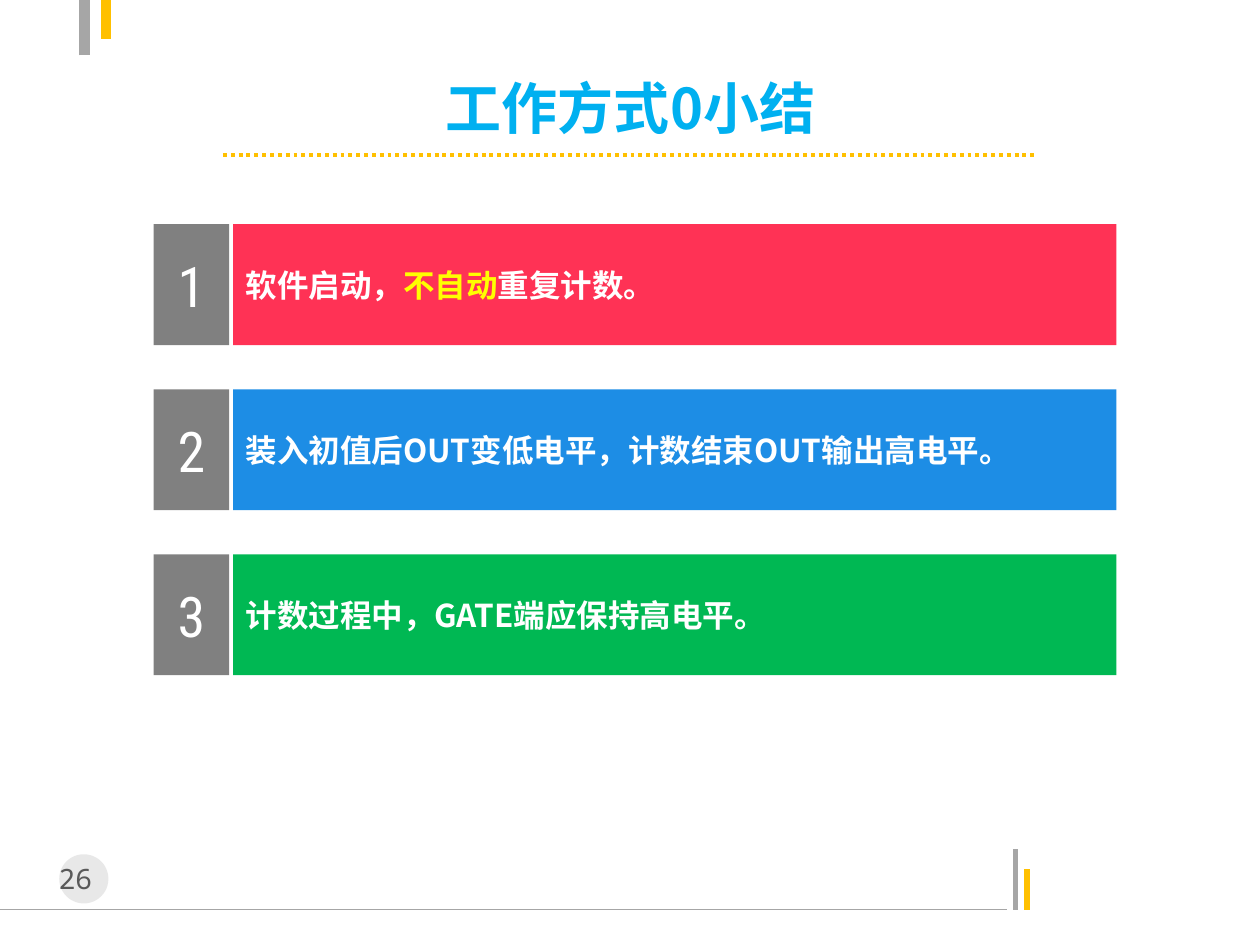
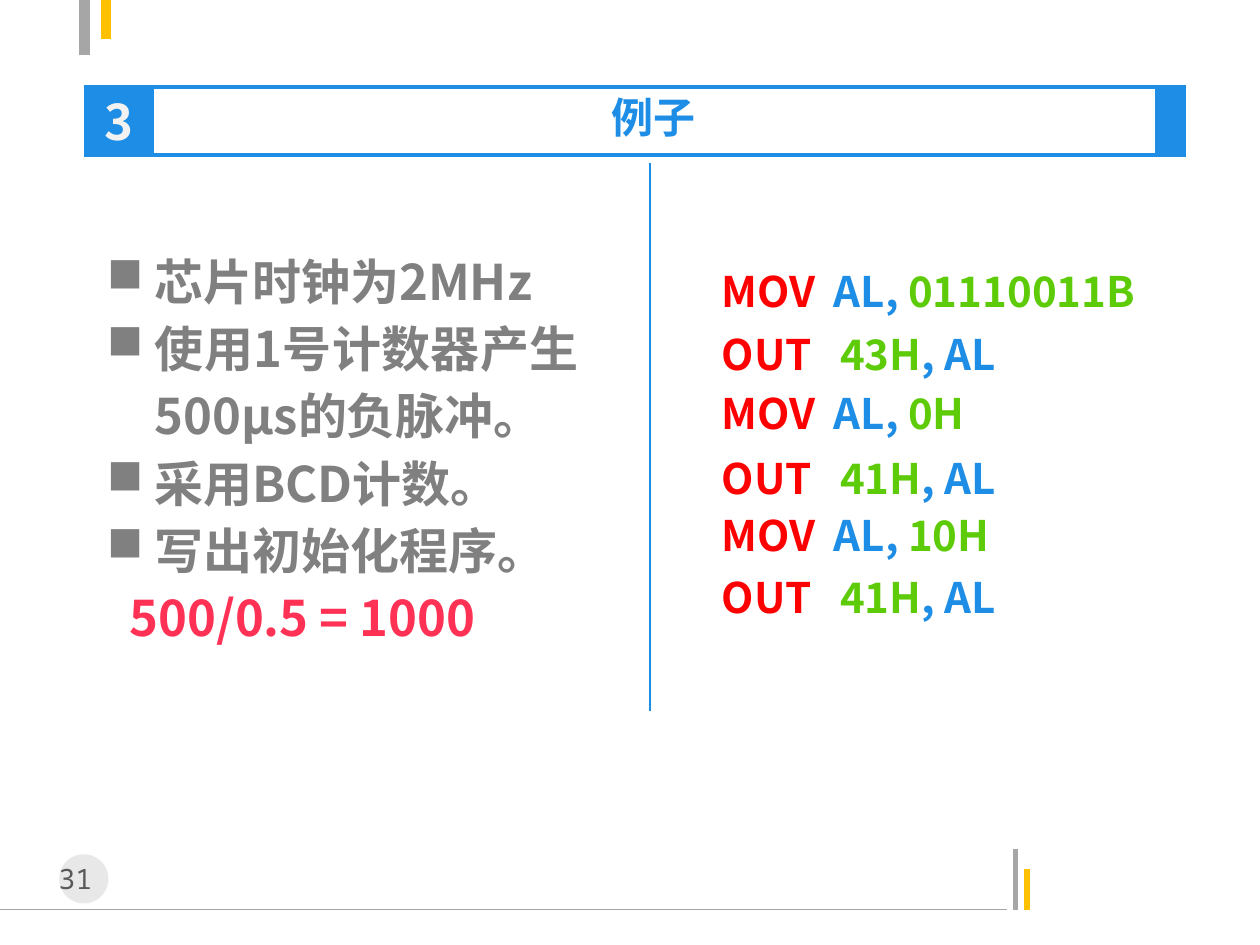
"""Build two timer-chip lesson slides: a mode 0 summary and a worked example."""
from dataclasses import dataclass

from lxml import etree
from pptx import Presentation
from pptx.dml.color import RGBColor
from pptx.enum import dml, shapes, text
from pptx.oxml import ns
from pptx.util import Inches, Pt


@dataclass(frozen=True)
class Theme:
    cjk: str = "Noto Sans CJK SC"
    mono: str = "Noto Sans Mono"
    digits: str = "Roboto Condensed"
    white: str = "FFFFFF"
    pale: str = "F2F2F2"
    rule: str = "A6A6A6"
    disc: str = "BFBFBF"
    gray: str = "808080"
    dark: str = "595959"
    gold: str = "FFC000"
    sky: str = "00B0F0"
    blue: str = "1D8DE5"
    green: str = "00B853"
    lime: str = "5DCB08"
    red: str = "FF0000"
    rose: str = "FF3255"
    yellow: str = "FFFF00"
    title: int = 32
    body: int = 28
    code: int = 24
    item: int = 18
    page: int = 16


T = Theme()
CENTER = text.PP_ALIGN.CENTER
JUSTIFY = text.PP_ALIGN.JUSTIFY
RECT = shapes.MSO_SHAPE.RECTANGLE
OVAL = shapes.MSO_SHAPE.OVAL

SUMMARY_TITLE = "工作方式0小结"
SUMMARY = [
    (T.rose, [("软件启动，", T.white), ("不自动", T.yellow), ("重复计数。", T.white)]),
    (T.blue, [("装入初值后OUT变低电平，计数结束OUT输出高电平。", T.white)]),
    (T.green, [("计数过程中，GATE端应保持高电平。", T.white)]),
]
EXAMPLE_NUMBER, EXAMPLE_TITLE = "3", "例子"
TASKS = [
    "芯片时钟为2MHz",
    "使用1号计数器产生500μs的负脉冲。",
    "采用BCD计数。",
    "写出初始化程序。",
]
RESULT = "500/0.5 = 1000"
CODE = [
    (1.94, "MOV", [("AL, ", T.blue), ("01110011B", T.lime)]),
    (2.44, "OUT", [("43H", T.lime), (", AL", T.blue)]),
    (2.91, "MOV", [("AL, ", T.blue), ("0H", T.lime)]),
    (3.43, "OUT", [("41H", T.lime), (", AL", T.blue)]),
    (3.88, "MOV", [("AL, ", T.blue), ("10H", T.lime)]),
    (4.37, "OUT", [("41H", T.lime), (", AL", T.blue)]),
]
OPERAND_TAB = {"MOV": 0.89, "OUT": 0.94}
FRAME_LINES = [
    ((0, 7.22), (7.99, 7.22), T.rule, 0.75),
    ((8.06, 7.22), (8.06, 6.74), T.rule, 3),
    ((8.15, 7.22), (8.15, 6.9), T.gold, 3),
    ((0.67, 0.44), (0.67, 0), T.rule, 6),
    ((0.84, 0), (0.84, 0.31), T.gold, 6),
]


def rgb(color):
    return RGBColor.from_string(color)


def sub(parent, tag, **attrs):
    return etree.SubElement(parent, ns.qn(tag), attrs)


def write(sp, content, size=T.item, color=T.white, font=T.cjk, bold=True, align=None,
          middle=False, spacing=None, indent=0, bullet=None, tab=None, more=False):
    """Write a string or (text, color) runs as one paragraph of a shape."""
    tf = sp.text_frame
    tf.word_wrap = True
    tf.vertical_anchor = text.MSO_ANCHOR.MIDDLE if middle else text.MSO_ANCHOR.TOP
    p = tf.add_paragraph() if more else tf.paragraphs[0]
    p.alignment = align or text.PP_ALIGN.LEFT
    if spacing:
        p.line_spacing = spacing
    ppr = p._p.get_or_add_pPr()
    if indent:
        ppr.set("marL", str(Inches(indent)))
    if bullet:
        ppr.set("indent", str(-Inches(indent)))
        sub(ppr, "a:buChar", char=bullet)
    if tab:
        sub(sub(ppr, "a:tabLst"), "a:tab", pos=str(Inches(tab)), algn="l")
    runs = [(content, color)] if isinstance(content, str) else content
    for run_text, run_color in runs:
        r = p.add_run()
        r.text = run_text
        r.font.size, r.font.bold, r.font.name = Pt(size), bold, font
        r.font.color.rgb = rgb(run_color)
        sub(r._r.get_or_add_rPr(), "a:ea", typeface=font)


def add_box(s, at, fill, kind=RECT, outline=None, alpha=None):
    sp = s.shapes.add_shape(kind, *map(Inches, at))
    sp.shadow.inherit = False
    sp.fill.solid()
    sp.fill.fore_color.rgb = rgb(fill)
    if alpha:
        clr = sp._element.spPr.find(".//" + ns.qn("a:srgbClr"))
        sub(clr, "a:alpha", val=str(alpha * 1000))
    if outline:
        sp.line.color.rgb = rgb(outline)
        sp.line.width = Pt(0.75)
    else:
        sp.line.fill.background()
    return sp


def add_text(s, at, content, **fmt):
    sp = s.shapes.add_textbox(*map(Inches, at))
    write(sp, content, **fmt)
    return sp


def add_line(s, start, end, color, width, dash=None):
    line = s.shapes.add_connector(shapes.MSO_CONNECTOR.STRAIGHT, *map(Inches, start + end))
    line.line.color.rgb = rgb(color)
    line.line.width = Pt(width)
    if dash:
        line.line.dash_style = dash
    sub(line._element.spPr, "a:effectLst")


def add_slide(prs, page):
    s = prs.slides.add_slide(prs.slide_layouts[6])
    for line in FRAME_LINES:
        add_line(s, *line)
    add_box(s, (0.47, 6.78, 0.39, 0.39), T.disc, kind=OVAL, alpha=35)
    add_text(s, (0.31, 6.79, 0.71, 0.37), f"{page} ", size=T.page, color=T.dark,
             font=T.mono, bold=False, align=CENTER)
    return s


def build_summary(prs):
    s = add_slide(prs, 26)
    add_text(s, (1.38, 0.6, 7.25, 0.5), SUMMARY_TITLE, size=T.title, color=T.sky,
             align=CENTER, middle=True)
    add_line(s, (1.77, 1.23), (8.23, 1.23), T.gold, 2.25, dml.MSO_LINE.ROUND_DOT)
    for i, (fill, runs) in enumerate(SUMMARY):
        top = 1.78 + 1.31 * i
        write(add_box(s, (1.85, top, 7.01, 0.96), fill), runs, middle=True)
        write(add_box(s, (1.22, top, 0.6, 0.96), T.gray), str(i + 1), size=T.title,
              font=T.digits, bold=False, align=CENTER, middle=True)


def build_example(prs):
    s = add_slide(prs, 31)
    number = add_box(s, (0.67, 0.69, 0.55, 0.54), T.blue, outline=T.blue)
    write(number, EXAMPLE_NUMBER, size=T.body, color=T.pale, align=CENTER, middle=True)
    add_text(s, (1.22, 0.68, 7.94, 0.5), EXAMPLE_TITLE, size=T.code, color=T.blue,
             align=CENTER)
    add_box(s, (9.17, 0.69, 0.24, 0.54), T.blue, outline=T.blue)
    for y in (0.69, 1.23):
        add_line(s, (0.67, y), (9.41, y), T.blue, 2.25)
    add_line(s, (5.16, 1.29), (5.16, 5.64), T.blue, 1)

    for top, op, operands in CODE:
        add_text(s, (5.63, top, 3.86, 0.62), [(op + "\t", T.red)] + operands,
                 size=T.code, spacing=1.29, tab=OPERAND_TAB[op])

    fmt = dict(size=T.body, align=JUSTIFY, middle=True, spacing=1.14)
    tasks = s.shapes.add_textbox(*map(Inches, (0.75, 1.87, 3.94, 3.32)))
    for i, task in enumerate(TASKS):
        write(tasks, task, color=T.gray, indent=0.38, bullet="■", more=i > 0, **fmt)
    write(tasks, RESULT, color=T.rose, indent=0.18, more=True, **fmt)


def main():
    prs = Presentation()
    prs.slide_width, prs.slide_height = Inches(10), Inches(7.5)
    build_summary(prs)
    build_example(prs)
    prs.save("out.pptx")


if __name__ == "__main__":
    main()
